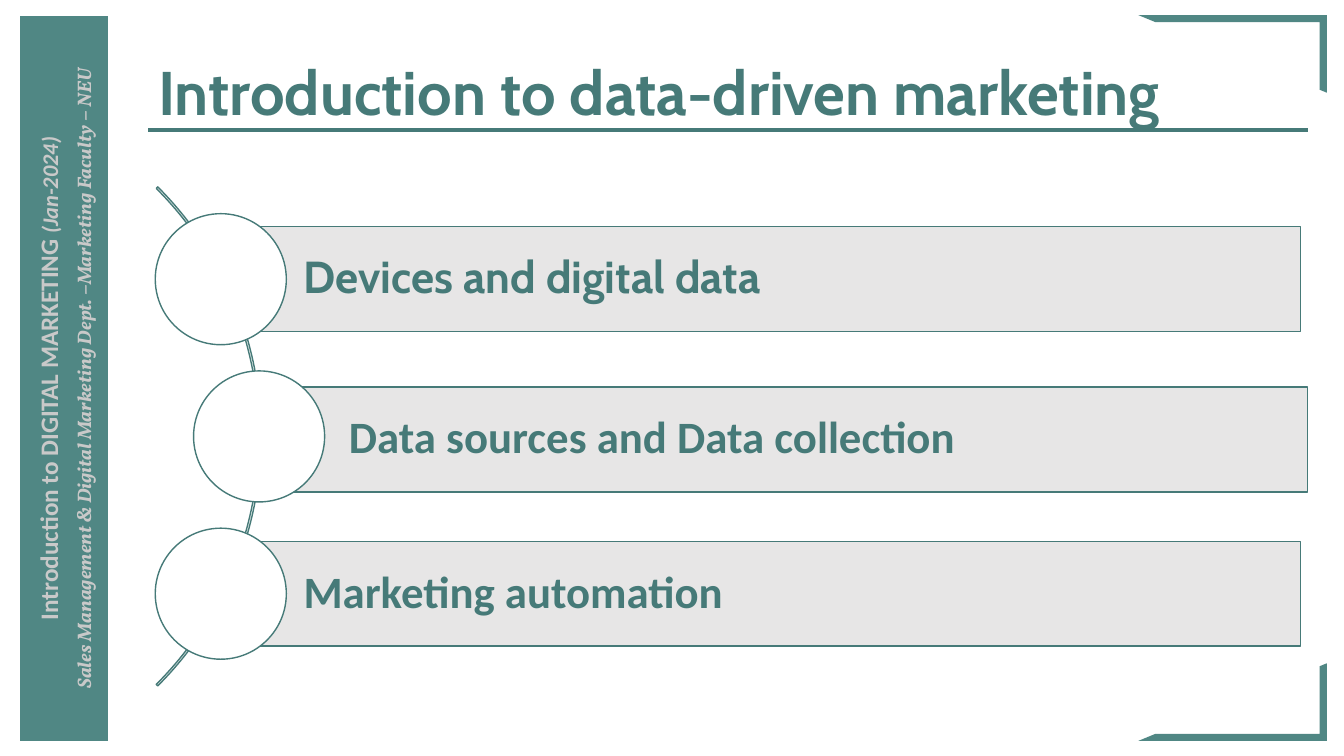
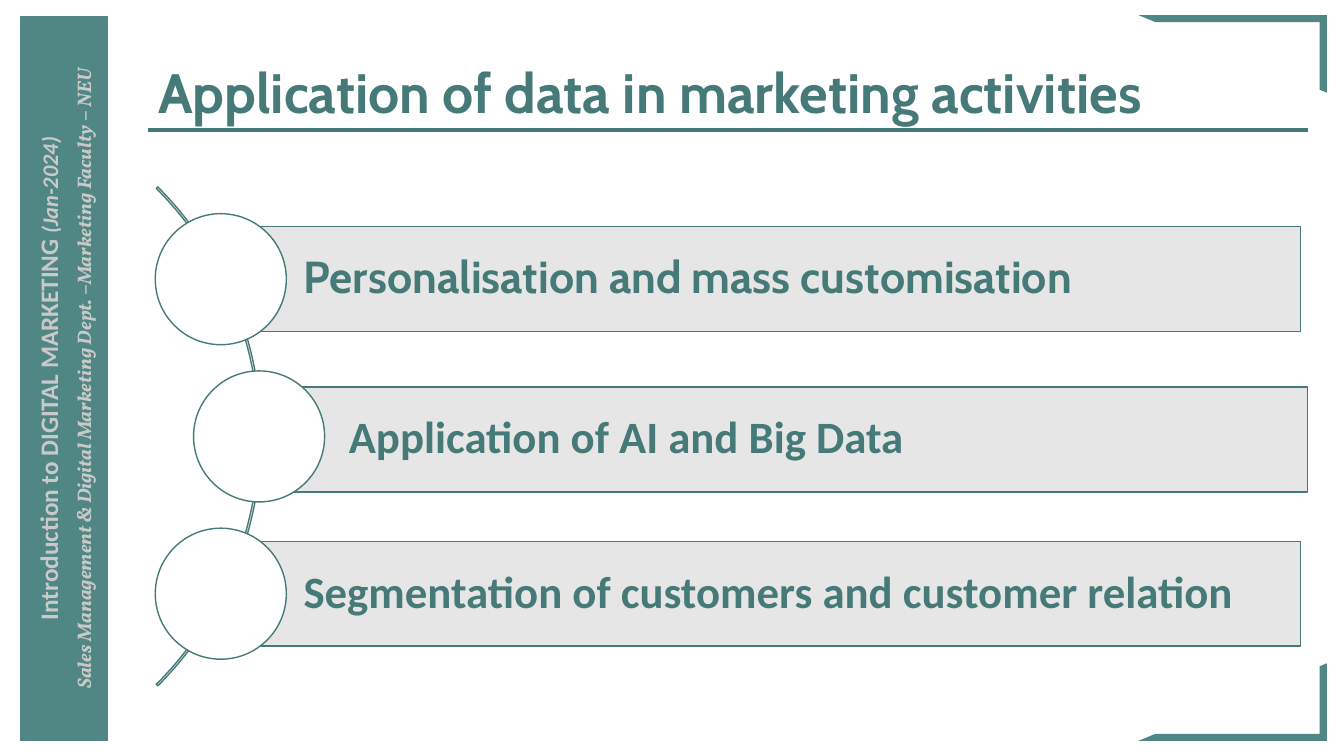
from dataclasses import dataclass

from pptx import Presentation
from pptx.dml.color import RGBColor
from pptx.enum.shapes import MSO_CONNECTOR, MSO_SHAPE
from pptx.enum.text import MSO_ANCHOR, PP_ALIGN
from pptx.oxml import parse_xml
from pptx.oxml.ns import nsdecls
from pptx.shapes.autoshape import Shape
from pptx.slide import Slide
from pptx.text.text import _Paragraph as Paragraph
from pptx.util import Emu, Pt

EMU_PER_PX = 9144  # 100 px to the inch

TEAL = RGBColor(0x46, 0x7A, 0x78)
BAND_TEAL = RGBColor(0x50, 0x87, 0x84)
BAR_GREY = RGBColor(0xE7, 0xE6, 0xE6)
BAND_TEXT = RGBColor(0xC9, 0xC9, 0xC9)
WHITE = RGBColor(0xFF, 0xFF, 0xFF)

CIRCLE_SIZE = 130
CIRCLE_TOP = 212
CIRCLE_STEP = 156
BAR_HEIGHT = 104


@dataclass(frozen=True)
class Box:
    left: int
    top: int
    width: int
    height: int

    def emu(self) -> tuple[Emu, ...]:
        return tuple(px(n) for n in (self.left, self.top, self.width, self.height))


@dataclass(frozen=True)
class Row:
    circle_left: int
    bar: Box
    font_name: str


@dataclass(frozen=True)
class Topic:
    title: str
    title_size: float
    items: tuple[str, str, str]


ROWS = (
    Row(154, Box(219, 225, 1071, BAR_HEIGHT), "Cabin"),
    Row(192, Box(264, 384, 1033, BAR_HEIGHT), "Calibri"),
    Row(154, Box(219, 537, 1071, BAR_HEIGHT), "Calibri"),
)

TOPICS = (
    Topic("Introduction to data-driven marketing", 44,
          ("Devices and digital data",
           "Data sources and Data collection",
           "Marketing automation")),
    Topic("Application of data in marketing activities", 39.6,
          ("Personalisation and mass customisation",
           "Application of AI and Big Data",
           "Segmentation of customers and customer relation")),
)


def px(length: int) -> Emu:
    return Emu(length * EMU_PER_PX)


def add_figure(slide: Slide, kind: MSO_SHAPE, box: Box,
               fill: RGBColor | None, line: RGBColor | None = None) -> Shape:
    shape = slide.shapes.add_shape(kind, *box.emu())
    shape.shadow.inherit = False
    if fill is None:
        shape.fill.background()
    else:
        shape.fill.solid()
        shape.fill.fore_color.rgb = fill
    if line is None:
        shape.line.fill.background()
    else:
        shape.line.color.rgb = line
        shape.line.width = Pt(1)
    return shape


def set_font(paragraph: Paragraph, name: str, color: RGBColor) -> None:
    paragraph.font.name = name
    paragraph.font.bold = True
    paragraph.font.color.rgb = color


def write_heading(shape: Shape, text: str, name: str, size: float) -> None:
    frame = shape.text_frame
    frame.word_wrap = True
    frame.vertical_anchor = MSO_ANCHOR.MIDDLE
    paragraph = frame.paragraphs[0]
    paragraph.text = text
    paragraph.alignment = PP_ALIGN.LEFT
    paragraph.line_spacing = 0.9
    set_font(paragraph, name, TEAL)
    paragraph.font.size = Pt(size)


def add_side_band(slide: Slide) -> None:
    band = add_figure(slide, MSO_SHAPE.RECTANGLE, Box(20, 16, 87, 719), BAND_TEAL)
    frame = band.text_frame
    frame.vertical_anchor = MSO_ANCHOR.MIDDLE
    band.element.txBody.bodyPr.set("vert", "vert270")
    course, department = frame.paragraphs[0], frame.add_paragraph()
    for paragraph, name in ((course, "Calibri"), (department, "Vollkorn")):
        paragraph.alignment = PP_ALIGN.CENTER
        paragraph.space_before = Pt(6)
        set_font(paragraph, name, BAND_TEXT)
    for paragraph, text, size, italic in (
        (course, "Introduction to DIGITAL MARKETING ", 18, False),
        (course, "(Jan-2024)", 16, True),
        (department, "Sales Management & Digital Marketing Dept. "
                     "–Marketing Faculty – NEU", 14, True),
    ):
        run = paragraph.add_run()
        run.text = text
        run.font.size = Pt(size)
        run.font.italic = italic


def add_frame(slide: Slide) -> None:
    # Corner brackets at the right edge
    bottom, top = (
        add_figure(slide, MSO_SHAPE.HALF_FRAME, Box(1129, y, 187, 77), BAND_TEAL)
        for y in (658, 15)
    )
    for corner in (bottom, top):
        corner.adjustments[0] = 0.09
        corner.adjustments[1] = 0.093
    bottom.rotation = 180
    top.element.spPr.xfrm.set("flipH", "1")

    # Rule under the title
    rule = slide.shapes.add_connector(
        MSO_CONNECTOR.STRAIGHT, px(147), px(129), px(1297), px(129))
    rule.line.color.rgb = TEAL
    rule.line.width = Pt(2.25)
    rule.element.spPr.append(parse_xml(f"<a:effectLst {nsdecls('a')}/>"))


def add_title(slide: Slide, topic: Topic) -> None:
    title = slide.shapes.add_textbox(*Box(147, 37, 1150, 115).emu())
    write_heading(title, topic.title, "Cabin", topic.title_size)


def add_item_list(slide: Slide, items: tuple[str, ...]) -> None:
    # Thin arc from -45 to 45 degrees, behind the rows
    arc = add_figure(slide, MSO_SHAPE.BLOCK_ARC, Box(-441, 83, 700, 700), None, TEAL)
    for index, value in enumerate((189, 27, 0.003)):
        arc.adjustments[index] = value

    for index, (row, item) in enumerate(zip(ROWS, items)):
        bar = add_figure(slide, MSO_SHAPE.RECTANGLE, row.bar, BAR_GREY, TEAL)
        bar.text_frame.margin_left = px(82)
        write_heading(bar, item, row.font_name, 32)
        circle = Box(row.circle_left, CIRCLE_TOP + index * CIRCLE_STEP,
                     CIRCLE_SIZE, CIRCLE_SIZE)
        add_figure(slide, MSO_SHAPE.OVAL, circle, WHITE, TEAL)


def main() -> None:
    presentation = Presentation()
    presentation.slide_width = px(1333)
    presentation.slide_height = px(750)
    blank_layout = presentation.slide_layouts[6]
    for topic in TOPICS:
        slide = presentation.slides.add_slide(blank_layout)
        add_side_band(slide)
        add_frame(slide)
        add_title(slide, topic)
        add_item_list(slide, topic.items)
    presentation.save("out.pptx")


if __name__ == "__main__":
    main()
